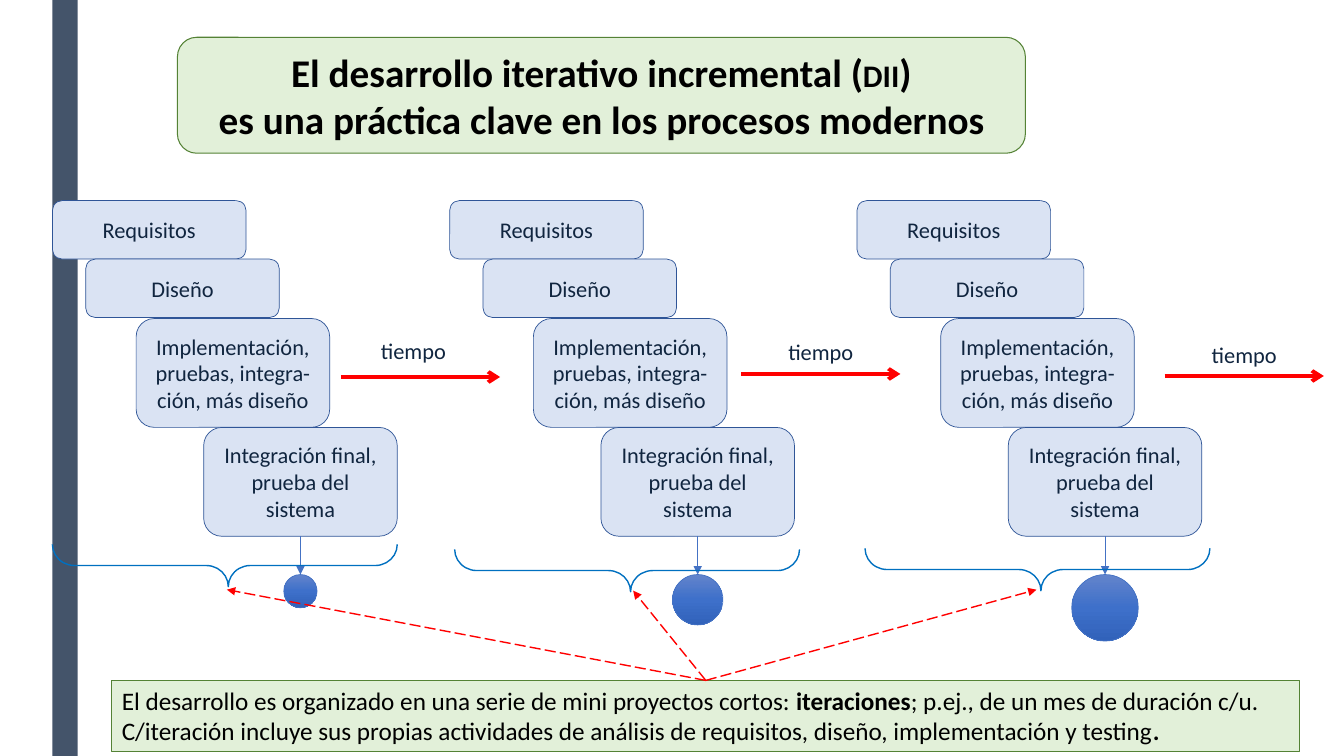
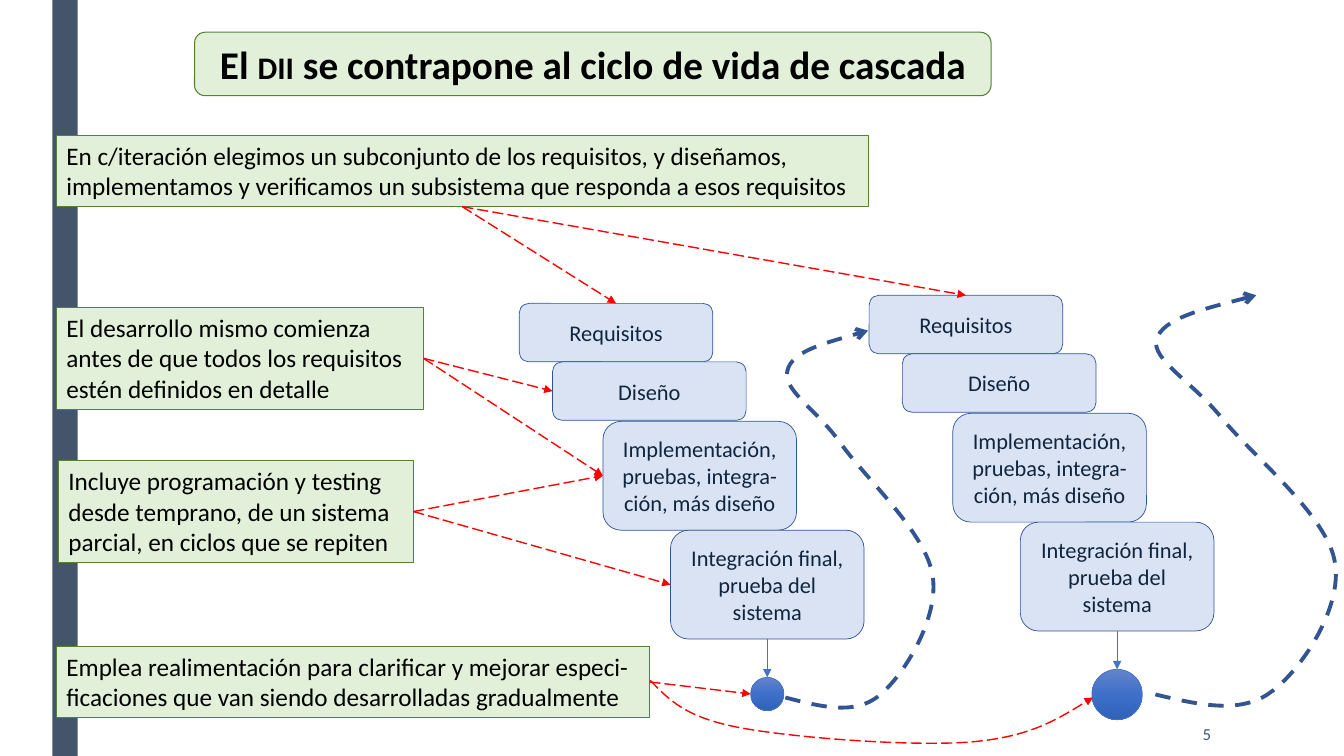
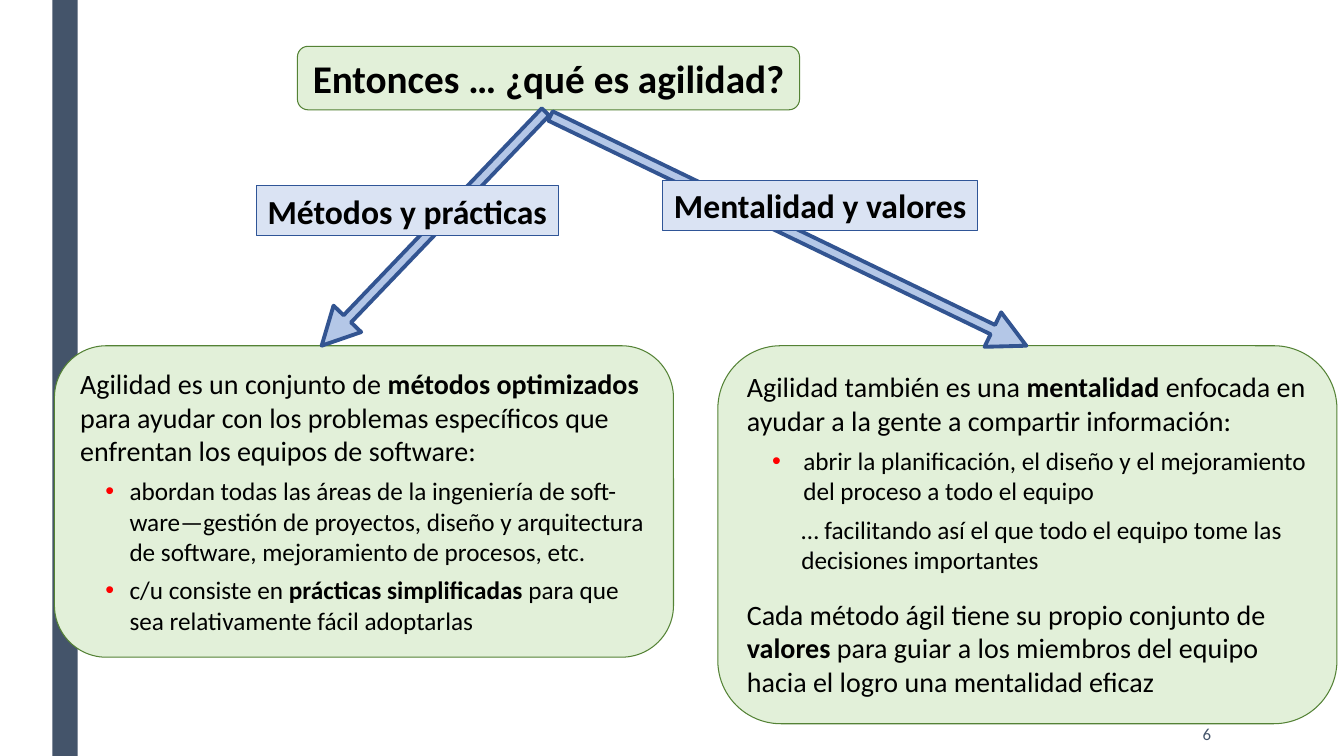
from copy import deepcopy
from dataclasses import dataclass
from math import atan2, degrees, hypot

from lxml import etree
from pptx import Presentation
from pptx.dml.color import RGBColor
from pptx.enum.dml import MSO_LINE
from pptx.enum.shapes import MSO_CONNECTOR, MSO_SHAPE
from pptx.enum.text import MSO_ANCHOR, MSO_AUTO_SIZE, PP_ALIGN
from pptx.oxml.ns import qn
from pptx.util import Inches, Pt

RECTANGLE = MSO_SHAPE.RECTANGLE
ROUNDED = MSO_SHAPE.ROUNDED_RECTANGLE
OVAL = MSO_SHAPE.OVAL
BRACE = MSO_SHAPE.LEFT_BRACE
DOWN_ARROW = MSO_SHAPE.DOWN_ARROW
STRAIGHT = MSO_CONNECTOR.STRAIGHT
DASH = MSO_LINE.DASH
LONG_DASH = MSO_LINE.LONG_DASH
LEFT, CENTER, RIGHT = PP_ALIGN.LEFT, PP_ALIGN.CENTER, PP_ALIGN.RIGHT
TOP, MIDDLE = MSO_ANCHOR.TOP, MSO_ANCHOR.MIDDLE
NO_AUTOFIT = MSO_AUTO_SIZE.NONE
TITLE_ONLY, TWO_CONTENT = 5, 3
SITE_TOP, SITE_LEFT, SITE_BOTTOM, SITE_RIGHT = range(4)
ROUNDED_INSET = 0.05


@dataclass(frozen=True)
class Theme:
    font: str = "Calibri"
    black: str = "000000"
    slate: str = "44546A"
    stage_text: str = "10253F"
    stage_fill: str = "DAE3F3"
    stage_line: str = "2F5597"
    note_fill: str = "E2F0D9"
    note_line: str = "548235"
    red: str = "FF0000"
    brace: str = "0070C0"
    dot_line: str = "4472C4"
    dot_stops: tuple = ((0, "6384CB"), (0.5, "3E70CA"), (1, "3162BA"))
    loop: str = "325491"
    arrow_fill: str = "B4C7E7"
    title_size: int = 28
    label_size: int = 24
    lead_size: int = 20
    note_size: int = 18
    stage_size: int = 16
    number_size: int = 12


THEME = Theme()

STAGES = (
    (0, 0, 0.58, ["Requisitos"]),
    (0.33, 0.58, 0.58, ["Diseño"]),
    (0.83, 1.17, 1.08, ["Implementación,", "pruebas, integra-ción, más diseño"]),
    (1.5, 2.25, 1.08, ["Integración final, prueba del sistema"]),
)


def color(code):
    return RGBColor.from_string(code)


def add_spans(para, spans, size, ink, bold=False):
    for span in [spans] if isinstance(spans, str) else spans:
        text, style = (span, "") if isinstance(span, str) else span
        run = para.add_run()
        run.text = text
        run.font.name = THEME.font
        run.font.size = Pt(size)
        run.font.bold = bold or style == "bold"
        run.font.color.rgb = color(ink)
        if style == "small":
            run.font._element.set("cap", "small")


def next_para(frame, index):
    return frame.paragraphs[0] if index == 0 else frame.add_paragraph()


def write(shape, lines, size, ink, bold=False, align=LEFT, anchor=TOP, wrap=True):
    frame = shape.text_frame
    frame.word_wrap = wrap
    frame.auto_size = NO_AUTOFIT
    frame.vertical_anchor = anchor
    for index, spans in enumerate(lines):
        para = next_para(frame, index)
        para.alignment = align
        add_spans(para, spans, size, ink, bold)


def outline(shape, ink, width, dash=None, tail=None):
    shape.line.color.rgb = color(ink)
    shape.line.width = Pt(width)
    if dash is not None:
        shape.line.dash_style = dash
    if tail:
        line = shape._element.spPr.find(qn("a:ln"))
        etree.SubElement(line, qn("a:tailEnd"), type=tail)


def add_box(page, kind, box, fill=None, line=None, width=0.5):
    shape = page.shapes.add_shape(kind, *map(Inches, box))
    shape.shadow.inherit = False
    if fill:
        shape.fill.solid()
        shape.fill.fore_color.rgb = color(fill)
    else:
        shape.fill.background()
    if line:
        outline(shape, line, width)
    else:
        shape.line.fill.background()
    return shape


def add_label(page, box, text, size, ink, align=LEFT, anchor=TOP, wrap=True):
    label = page.shapes.add_textbox(*map(Inches, box))
    write(label, [text], size, ink, align=align, anchor=anchor, wrap=wrap)


def link(page, start, end, ink, width, dash=None, tail="triangle"):
    connector = page.shapes.add_connector(STRAIGHT, 0, 0, 0, 0)
    if isinstance(start[0], (int, float)):
        connector.begin_x, connector.begin_y = map(Inches, start)
    else:
        connector.begin_connect(*start)
    if isinstance(end[0], (int, float)):
        connector.end_x, connector.end_y = map(Inches, end)
    else:
        connector.end_connect(*end)
    outline(connector, ink, width, dash, tail)
    etree.SubElement(connector._element.spPr, qn("a:effectLst"))


def point_out(page, start, end):
    link(page, start, end, THEME.red, 1, LONG_DASH)


def add_curve(page, points, ink, width, dash, tail):
    spots = [(Inches(x), Inches(y)) for x, y in points]
    builder = page.shapes.build_freeform(*spots[0])
    builder.add_line_segments(spots[1:], close=False)
    curve = builder.convert_to_shape()
    segments = list(curve._element.iter(qn("a:lnTo")))
    for first in range(0, len(segments), 3):
        bezier = etree.Element(qn("a:cubicBezTo"))
        segments[first].addprevious(bezier)
        for segment in segments[first:first + 3]:
            bezier.append(segment[0])
            segment.getparent().remove(segment)
    curve.shadow.inherit = False
    curve.fill.background()
    outline(curve, ink, width, dash, tail)


def place_on_panel(page, placeholder, box):
    panel = add_box(page, ROUNDED, box, THEME.note_fill, THEME.note_line, 0.75)
    placeholder._element.addprevious(panel._element)
    left, top, width, height = box
    inset = ROUNDED_INSET * min(width, height)
    placeholder.left, placeholder.top = Inches(left + inset), Inches(top + inset)
    placeholder.width = Inches(width - 2 * inset)
    placeholder.height = Inches(height - 2 * inset)


def add_title(page, box, lines):
    title = page.shapes.title
    place_on_panel(page, title, box)
    title.text_frame.margin_left = title.text_frame.margin_right = 0
    write(title, lines, THEME.title_size, THEME.black, True, CENTER, MIDDLE)


def add_number(page, number):
    add_label(page, (10.36, 7.06, 1.75, 0.44), number, THEME.number_size,
              THEME.slate, RIGHT, MIDDLE)


def add_note(page, box, spans):
    note = add_box(page, RECTANGLE, box, THEME.note_fill, THEME.note_line, 0.75)
    write(note, [spans], THEME.note_size, THEME.black)
    return note


def add_dot(page, center, top, diameter):
    dot = add_box(page, OVAL, (center - diameter / 2, top, diameter, diameter),
                  line=THEME.dot_line)
    dot.fill.gradient()
    dot.fill.gradient_angle = 270
    stops = dot._element.spPr.find(".//" + qn("a:gsLst"))
    stops.insert(1, deepcopy(stops[0]))
    for stop, (position, ink) in zip(dot.fill.gradient_stops, THEME.dot_stops):
        stop.position = position
        stop.color.rgb = color(ink)
    return dot


def add_cascade(page, left, top, diameter):
    stages = []
    for across, down, height, lines in STAGES:
        stage = add_box(page, ROUNDED, (left + across, top + down, 1.92, height),
                        THEME.stage_fill, THEME.stage_line)
        write(stage, lines, THEME.stage_size, THEME.stage_text,
              align=CENTER, anchor=MIDDLE)
        stages.append(stage)
    dot = add_dot(page, left + 2.46, top + 3.71, diameter)
    link(page, (stages[-1], SITE_BOTTOM), (dot, SITE_TOP), THEME.dot_line, 0.5)
    return stages, dot


def add_brace(page, center, middle):
    width, height = 0.42, 3.42
    brace = add_box(page, BRACE, (center - width / 2, middle - height / 2, width, height),
                    line=THEME.brace, width=1)
    brace.adjustments[0] = 0.52
    brace.adjustments[1] = 0.51
    brace.rotation = 270


def add_time_arrow(page, left, top, label_left, label_top):
    link(page, (left, top), (left + 1.58, top), THEME.red, 2.75, tail="arrow")
    add_label(page, (label_left, label_top, 0.86, 0.37), "tiempo",
              THEME.stage_size, THEME.stage_text, wrap=False)


def add_block_arrow(page, tail, head):
    across, down = head[0] - tail[0], head[1] - tail[1]
    length, width = hypot(across, down), 0.38
    box = ((tail[0] + head[0] - width) / 2, (tail[1] + head[1] - length) / 2, width, length)
    arrow = add_box(page, DOWN_ARROW, box, THEME.arrow_fill, THEME.loop, 2.75)
    arrow.adjustments[0] = 0.27
    arrow.adjustments[1] = 0.97
    arrow.rotation = degrees(atan2(-across, down)) % 360


def add_branch_label(page, box, text):
    label = add_box(page, RECTANGLE, box, THEME.stage_fill, THEME.stage_line, 0.75)
    write(label, [text], THEME.label_size, THEME.black, True, CENTER, wrap=False)


def fill_body(page, body, box, items):
    place_on_panel(page, body, box)
    frame = body.text_frame
    frame.auto_size = NO_AUTOFIT
    for index, (level, margin, indent, before, bullet, spans) in enumerate(items):
        para = next_para(frame, index)
        para.level = level
        para.alignment = LEFT
        para.space_before = Pt(before)
        props = para._element.get_or_add_pPr()
        props.set("marL", str(Inches(margin)))
        props.set("indent", str(Inches(indent)))
        if bullet:
            tint = etree.SubElement(props, qn("a:buClr"))
            etree.SubElement(tint, qn("a:srgbClr"), val=THEME.red)
            etree.SubElement(props, qn("a:buFont"), typeface="Arial")
            etree.SubElement(props, qn("a:buChar"), char="•")
        else:
            etree.SubElement(props, qn("a:buNone"))
        add_spans(para, spans, THEME.note_size if level else THEME.lead_size, THEME.black)


def add_side_band(deck, page):
    band = add_box(page, RECTANGLE, (0.52, 0, 0.25, 7.5), THEME.slate)
    deck.slide_master.shapes._spTree.insert(2, band._element)


def build_iterations(page):
    add_title(page, (1.76, 0.37, 8.41, 1.15), [
        ["El desarrollo iterativo incremental (", ("dii", "small"), ")"],
        "es una práctica clave en los procesos modernos",
    ])
    for left, diameter in ((0.52, 0.33), (4.46, 0.5), (8.5, 0.66)):
        add_cascade(page, left, 1.99, diameter)
    for spot in ((3.38, 3.74, 3.68, 3.3), (7.35, 3.71, 7.72, 3.31), (11.55, 3.73, 11.92, 3.34)):
        add_time_arrow(page, *spot)
    note = add_note(page, (1.11, 6.75, 11.78, 0.71), [
        "El desarrollo es organizado en una serie de mini proyectos cortos: ",
        ("iteraciones", "bold"),
        "; p.ej., de un mes de duración c/u. C/iteración incluye sus propias actividades "
        "de análisis de requisitos, diseño, implementación y testing",
        (".", "bold"),
    ])
    for center, middle in ((2.23, 5.61), (6.22, 5.66), (10.29, 5.65)):
        add_brace(page, center, middle)
    for tip in ((2.25, 5.85), (6.28, 5.86), (10.28, 5.85)):
        point_out(page, (note, SITE_TOP), tip)


def build_contrast(page):
    add_title(page, (1.93, 0.32, 7.9, 0.63), [
        ["El ", ("dii", "small"), " se contrapone al ciclo de vida de cascada"],
    ])
    add_number(page, "5")
    first, first_dot = add_cascade(page, 5.15, 3.01, 0.33)
    second, _ = add_cascade(page, 8.62, 2.93, 0.5)
    subset = add_note(page, (0.56, 1.34, 8.05, 0.71),
                      "En c/iteración elegimos un subconjunto de los requisitos, y diseñamos, "
                      "implementamos y verificamos un subsistema que responda a esos requisitos")
    start = add_note(page, (0.56, 3.05, 3.64, 1.01),
                     "El desarrollo mismo comienza antes de que todos los requisitos "
                     "estén definidos en detalle")
    testing = add_note(page, (0.58, 4.57, 3.52, 1.01),
                       "Incluye programación y testing desde temprano, de un sistema "
                       "parcial, en ciclos que se repiten")
    feedback = add_note(page, (0.56, 6.41, 5.88, 0.71),
                        "Emplea realimentación para clarificar y mejorar especi-ficaciones "
                        "que van siendo desarrolladas gradualmente")
    for requirements in (first[0], second[0]):
        point_out(page, (subset, SITE_BOTTOM), (requirements, SITE_TOP))
    for note, stages in ((start, first[1:3]), (testing, first[2:])):
        for stage in stages:
            point_out(page, (note, SITE_RIGHT), (stage, SITE_LEFT))
    dot_side = first_dot.left.inches, first_dot.top.inches + first_dot.height.inches / 2
    point_out(page, (feedback, SITE_RIGHT), dot_side)
    add_curve(page, (
        (6.45, 6.75), (6.63, 6.94), (6.8, 7.12), (7.34, 7.22), (7.87, 7.32),
        (9.06, 7.41), (9.64, 7.36), (10.22, 7.31), (10.53, 7.11), (10.84, 6.92),
    ), THEME.red, 1, LONG_DASH, "triangle")
    loops = (
        ((7.79, 6.92), (8.14, 7.01), (8.48, 7.1), (8.72, 6.9), (8.97, 6.7),
         (9.32, 6.12), (9.25, 5.71), (9.19, 5.29), (8.58, 4.74), (8.34, 4.4),
         (8.1, 4.06), (7.76, 3.87), (7.81, 3.68), (7.85, 3.49), (8.23, 3.39), (8.61, 3.28)),
        ((11.46, 6.89), (11.88, 6.99), (12.3, 7.09), (12.6, 6.87), (12.9, 6.66),
         (13.32, 6.03), (13.24, 5.58), (13.17, 5.12), (12.42, 4.52), (12.12, 4.15),
         (11.83, 3.79), (11.42, 3.57), (11.47, 3.37), (11.53, 3.16), (12, 3.05), (12.46, 2.93)),
    )
    for points in loops:
        add_curve(page, points, THEME.loop, 2.75, DASH, "arrow")


def build_agility(page):
    add_title(page, (2.95, 0.46, 4.98, 0.63), ["Entonces … ¿qué es agilidad?"])
    add_number(page, "6")
    methods, mindset = list(page.placeholders)[1:]
    fill_body(page, methods, (0.54, 3.43, 6.14, 3.09), (
        (0, 0, 0, 0, False, [
            "Agilidad es un conjunto de ", ("métodos optimizados", "bold"),
            " para ayudar con los problemas específicos que enfrentan los equipos de software:"]),
        (1, 0.49, -0.24, 6, True,
         "abordan todas las áreas de la ingeniería de soft-ware—gestión de proyectos, "
         "diseño y arquitectura de software, mejoramiento de procesos, etc."),
        (1, 0.49, -0.24, 6, True, [
            "c/u consiste en ", ("prácticas simplificadas", "bold"),
            " para que sea relativamente fácil adoptarlas"]),
    ))
    fill_body(page, mindset, (7.12, 3.43, 6.14, 3.75), (
        (0, 0, 0, 0, False, [
            "Agilidad también es una ", ("mentalidad", "bold"),
            " enfocada en ayudar a la gente a compartir información:"]),
        (1, 0.56, -0.31, 6, True,
         "abrir la planificación, el diseño y el mejoramiento del proceso a todo el equipo"),
        (1, 0.54, 0, 6, False,
         "… facilitando así el que todo el equipo tome las decisiones importantes"),
        (0, 0, 0, 16, False, [
            "Cada método ágil tiene su propio conjunto de ", ("valores", "bold"),
            " para guiar a los miembros del equipo hacia el logro una mentalidad eficaz"]),
    ))
    add_block_arrow(page, (5.41, 1.11), (3.19, 3.43))
    add_block_arrow(page, (5.46, 1.15), (10.18, 3.43))
    add_branch_label(page, (2.54, 1.84, 3, 0.5), "Métodos y prácticas")
    add_branch_label(page, (6.57, 1.79, 3.13, 0.5), "Mentalidad y valores")


def main():
    deck = Presentation()
    deck.slide_width, deck.slide_height = Inches(13.33), Inches(7.5)
    plan = ((TITLE_ONLY, build_iterations), (TITLE_ONLY, build_contrast),
            (TWO_CONTENT, build_agility))
    for layout, build in plan:
        build(deck.slides.add_slide(deck.slide_layouts[layout]))
    add_side_band(deck, deck.slides[0])
    deck.save("out.pptx")


if __name__ == "__main__":
    main()
